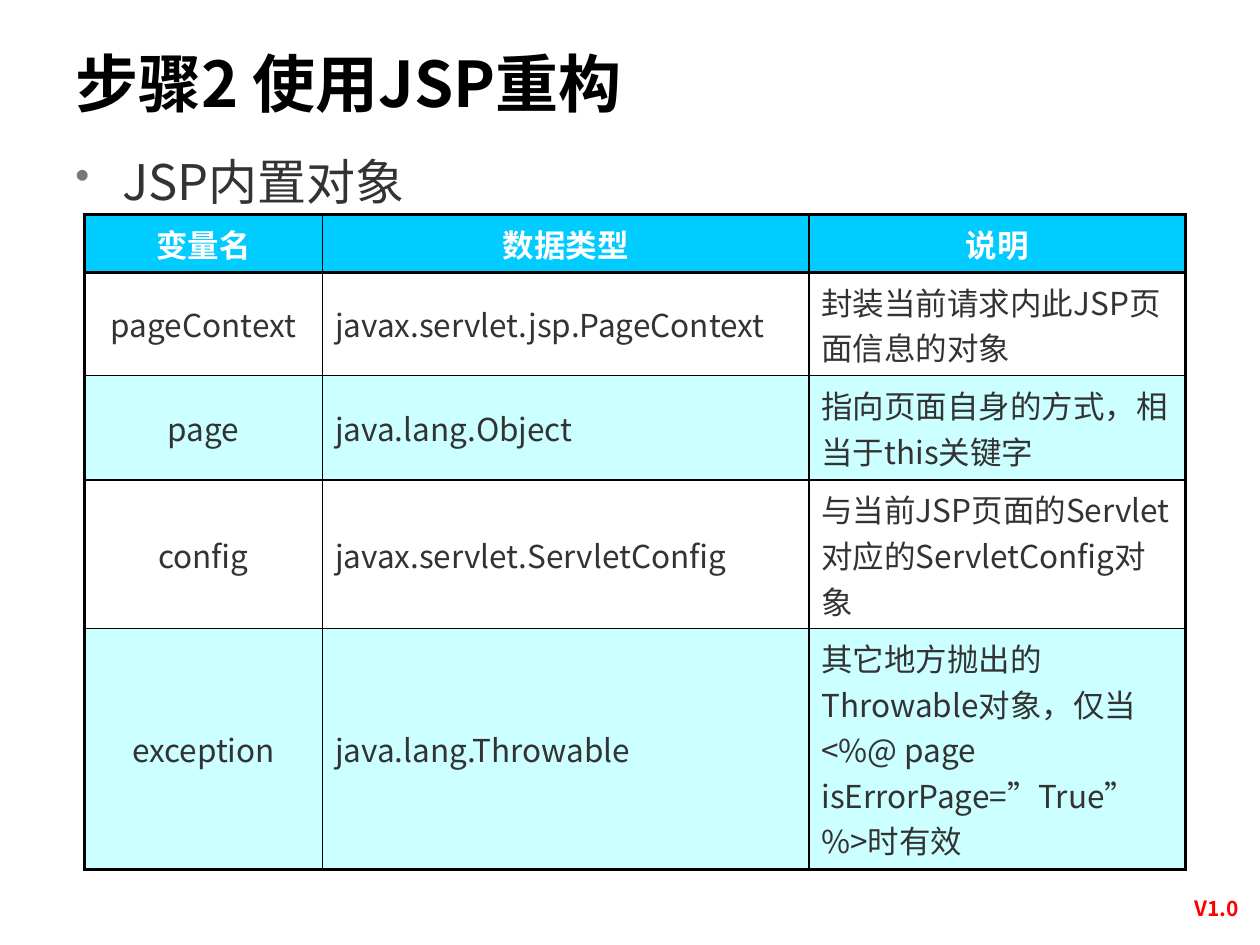
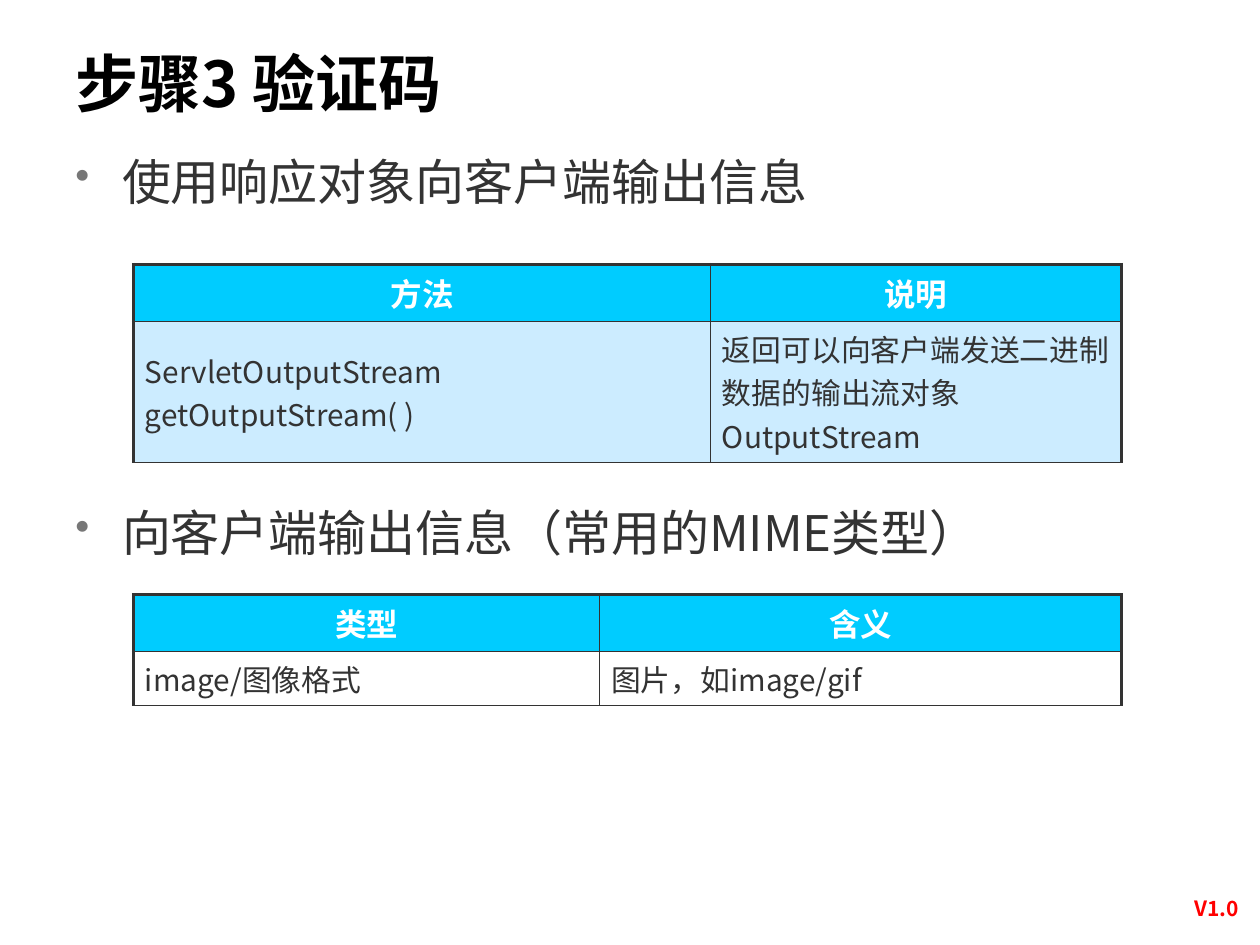
from dataclasses import dataclass

from lxml.etree import SubElement
from pptx import Presentation
from pptx.dml.color import RGBColor
from pptx.enum.text import MSO_ANCHOR, PP_ALIGN
from pptx.oxml import parse_xml
from pptx.oxml.ns import nsdecls, qn
from pptx.util import Inches, Pt

LEFT, CENTER, JUSTIFY = PP_ALIGN.LEFT, PP_ALIGN.CENTER, PP_ALIGN.JUSTIFY


@dataclass(frozen=True)
class Theme:
    font: str = "Noto Sans CJK SC"
    title: str = "000000"
    text: str = "333333"
    bullet: str = "777777"
    version: str = "FF0000"
    white: str = "FFFFFF"
    header: str = "00CCFF"
    aqua: str = "CCFFFF"
    sky: str = "CCECFF"
    title_size: int = 36
    body_size: int = 28
    header_size: int = 18
    version_size: int = 12
    title_spacing: float = 0.9


@dataclass(frozen=True)
class TableLook:
    """Cell text, insets and border widths (points) of one kind of table."""
    size: int
    inset_x: float
    inset_y: float
    border: str
    outer: float
    header_rule: float
    bottom: float
    inner: float = 1


THEME = Theme()
OBJECT_LOOK = TableLook(18, 0.1, 0.05, THEME.title, outer=2, header_rule=2, bottom=2)
OUTPUT_LOOK = TableLook(17, 0.09, 0.04, THEME.text, outer=2.25, header_rule=1, bottom=1)


def add_run(paragraph, text, size, color, bold=False):
    run = paragraph.add_run()
    run.text = text
    run.font.size = Pt(size)
    run.font.bold = bold
    run.font.name = THEME.font
    run.font.color.rgb = RGBColor.from_string(color)
    SubElement(run.font._element, qn("a:ea")).set("typeface", THEME.font)


def add_text_frame(slide, box, anchor):
    frame = slide.shapes.add_textbox(*map(Inches, box)).text_frame
    frame.word_wrap = True
    frame.vertical_anchor = anchor
    return frame


def add_title(slide, box, text):
    title = add_text_frame(slide, box, MSO_ANCHOR.MIDDLE).paragraphs[0]
    title.line_spacing = THEME.title_spacing
    add_run(title, text, THEME.title_size, THEME.title, bold=True)


def add_version(slide, box):
    version = add_text_frame(slide, box, MSO_ANCHOR.MIDDLE).paragraphs[0]
    version.alignment = CENTER
    add_run(version, "V1.0", THEME.version_size, THEME.version, bold=True)


def add_bullets(slide, box, points, gap=0):
    frame = add_text_frame(slide, box, MSO_ANCHOR.TOP)
    for index, point in enumerate(points):
        paragraph = frame.add_paragraph() if index else frame.paragraphs[0]
        properties = paragraph._p.get_or_add_pPr()
        properties.set("marL", str(Inches(0.37)))
        properties.set("indent", str(-Inches(0.37)))
        for xml in (f'<a:buClr {nsdecls("a")}><a:srgbClr val="{THEME.bullet}"/></a:buClr>',
                    f'<a:buSzPct {nsdecls("a")} val="85000"/>',
                    f'<a:buChar {nsdecls("a")} char="•"/>'):
            properties.append(parse_xml(xml))
        if index:
            paragraph.space_before = Pt(gap)
        add_run(paragraph, point, THEME.body_size, THEME.text)


def set_borders(cell, color, widths):
    """Widths are points in the order left, right, top, bottom."""
    properties = cell._tc.get_or_add_tcPr()
    for index, (side, width) in enumerate(zip("LRTB", widths)):
        properties.insert(index, parse_xml(
            f'<a:ln{side} {nsdecls("a")} w="{Pt(width)}"><a:solidFill>'
            f'<a:srgbClr val="{color}"/></a:solidFill></a:ln{side}>'))


def add_grid(slide, left, top, col_widths, row_heights, rows, fills, aligns, look):
    """Header row first; fills go by body row and aligns by column."""
    table = slide.shapes.add_table(
        len(rows), len(col_widths), Inches(left), Inches(top),
        Inches(sum(col_widths)), Inches(sum(row_heights))).table
    table.first_row = table.horz_banding = False
    for column, width in zip(table.columns, col_widths):
        column.width = Inches(width)
    for row, height in zip(table.rows, row_heights):
        row.height = Inches(height)

    # Rule widths, from the first edge to the last
    vertical = [look.outer] + [look.inner] * (len(col_widths) - 1) + [look.outer]
    horizontal = [look.outer, look.header_rule] + [look.inner] * (len(rows) - 2) + [look.bottom]

    for r, texts in enumerate(rows):
        for c, text in enumerate(texts):
            cell = table.cell(r, c)
            cell.vertical_anchor = MSO_ANCHOR.MIDDLE
            cell.margin_left = cell.margin_right = Inches(look.inset_x)
            cell.margin_top = cell.margin_bottom = Inches(look.inset_y)
            cell.fill.solid()
            cell.fill.fore_color.rgb = RGBColor.from_string(
                fills[r - 1] if r else THEME.header)
            set_borders(cell, look.border, vertical[c:c + 2] + horizontal[r:r + 2])
            paragraph = cell.text_frame.paragraphs[0]
            paragraph.alignment = aligns[c] if r else CENTER
            if r:
                add_run(paragraph, text, look.size, THEME.text)
            else:
                add_run(paragraph, text, THEME.header_size, THEME.white, bold=True)


def add_step_slide(deck, title, points, gap=0):
    """Frame shared by every step: version mark, title and bullets."""
    slide = deck.slides.add_slide(deck.slide_layouts[6])
    add_version(slide, (9.26, 7.06, 0.79, 0.3))
    add_title(slide, (0.5, 0.31, 7.97, 0.77), title)
    add_bullets(slide, (0.5, 1.15, 8.91, 5.43), points, gap)
    return slide


def add_builtin_objects(deck):
    slide = add_step_slide(deck, "步骤2 使用JSP重构", ["JSP内置对象"])
    objects = [
        ("变量名", "数据类型", "说明"),
        ("pageContext", "javax.servlet.jsp.PageContext", "封装当前请求内此JSP页面信息的对象"),
        ("page", "java.lang.Object", "指向页面自身的方式，相当于this关键字"),
        ("config", "javax.servlet.ServletConfig", "与当前JSP页面的Servlet对应的ServletConfig对象"),
        ("exception", "java.lang.Throwable",
         "其它地方抛出的Throwable对象，仅当<%@ page isErrorPage=”True” %>时有效"),
    ]
    add_grid(slide, 0.67, 1.7, (1.89, 3.86, 2.99), (0.46, 0.82, 0.83, 1.18, 1.91),
             objects, (THEME.white, THEME.aqua) * 2, (CENTER, LEFT, LEFT), OBJECT_LOOK)


def add_captcha(deck):
    slide = add_step_slide(
        deck, "步骤3 验证码",
        ["使用响应对象向客户端输出信息", "向客户端输出信息（常用的MIME类型）"], gap=167)
    # Response method
    methods = [
        ("方法", "说明"),
        ("ServletOutputStream getOutputStream( )",
         "返回可以向客户端发送二进制数据的输出流对象OutputStream"),
    ]
    add_grid(slide, 1.06, 2.1, (4.58, 3.26), (0.45, 1.12),
             methods, [THEME.sky], (LEFT, LEFT), OUTPUT_LOOK)
    # MIME type
    mime_types = [("类型", "含义"), ("image/图像格式", "图片，如image/gif")]
    add_grid(slide, 1.06, 4.72, (3.7, 4.14), (0.45, 0.43),
             mime_types, [THEME.white], (LEFT, JUSTIFY), OUTPUT_LOOK)


def main():
    deck = Presentation()
    deck.slide_width, deck.slide_height = Inches(10), Inches(7.5)
    add_builtin_objects(deck)
    add_captcha(deck)
    deck.save("out.pptx")


if __name__ == "__main__":
    main()
